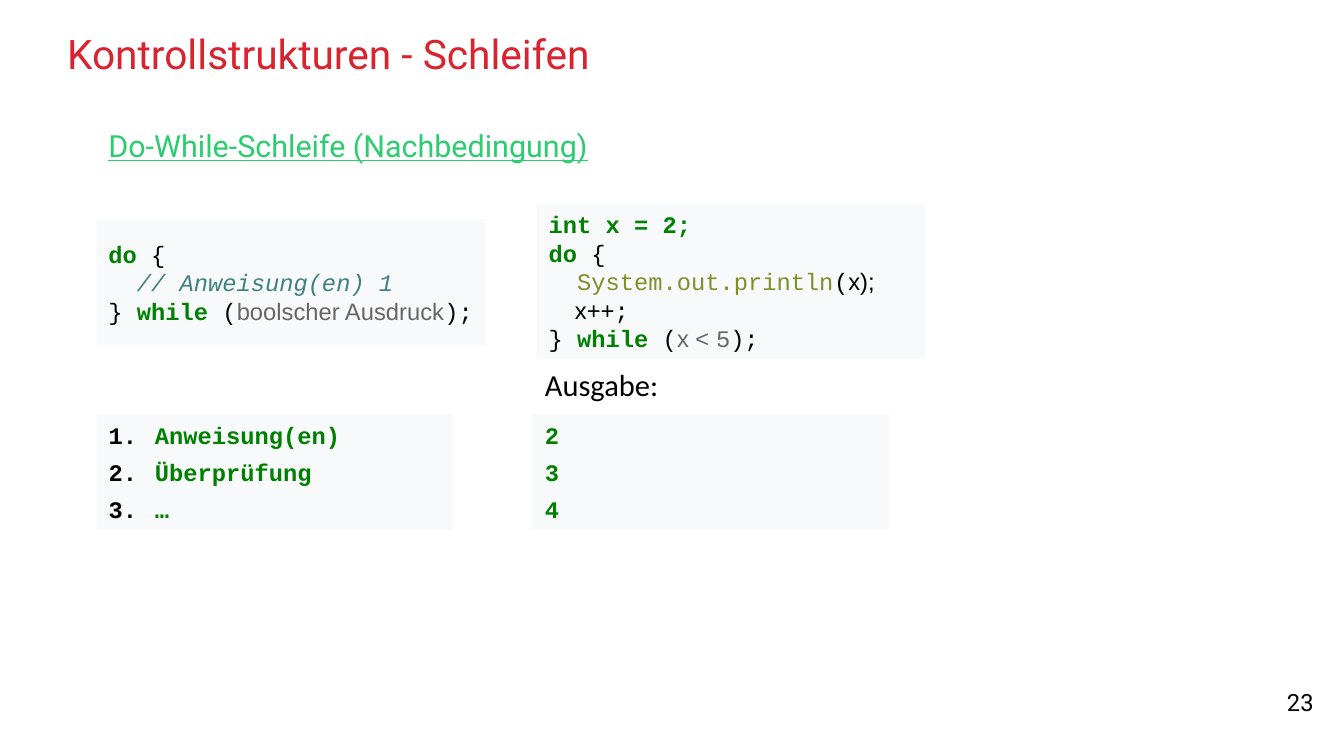
from lxml.etree import SubElement
from pptx import Presentation
from pptx.dml.color import RGBColor
from pptx.enum.shapes import MSO_SHAPE
from pptx.enum.text import MSO_ANCHOR as ANCHOR, PP_ALIGN as ALIGN
from pptx.oxml.ns import qn
from pptx.util import Inches, Pt

RED = RGBColor(0xD9, 0x23, 0x2F)
MINT = RGBColor(0x2C, 0xCC, 0x70)
BLACK = RGBColor(0, 0, 0)
PALE = RGBColor(0xF8, 0xF9, 0xFA)
GREEN = RGBColor(0, 0x80, 0)
TEAL = RGBColor(0x40, 0x80, 0x80)
GRAY = RGBColor(0x66, 0x66, 0x66)
OLIVE = RGBColor(0x7D, 0x90, 0x29)

KEYWORD = dict(color=GREEN, bold=True)
COMMENT = dict(color=TEAL, italic=True)
CALL = dict(color=OLIVE)
PLAIN = dict(font="Arial")
VALUE = dict(color=GRAY)
CONDITION = dict(font="Arial", color=GRAY)

LEFT = 0.79
OUTPUT_LEFT = 4.37
CODE_WIDTH = 3.19
STEPS_TOP, STEPS_WIDTH, STEPS_HEIGHT = 3.4, 2.92, 0.94

SYNTAX = [
    [("do", KEYWORD), (" {", {})],
    [("  ", {}), ("// Anweisung(en) 1", COMMENT)],
    [("} ", {}), ("while", KEYWORD), (" (", {}),
     ("boolscher Ausdruck", CONDITION), (");", {})],
]
EXAMPLE = [
    [("int x = 2;", KEYWORD)],
    [("do", KEYWORD), (" {", {})],
    [("  ", {}), ("System.out.println", CALL), ("(", {}), ("x);", PLAIN)],
    [("    x++", PLAIN), (";", {})],
    [("} ", {}), ("while", KEYWORD), (" (", {}),
     ("x < ", CONDITION), ("5", VALUE), (");", {})],
]
STEPS = ["Anweisung(en)", "Überprüfung", "…"]
OUTPUT = ["2", "3", "4"]


def add_run(p, text, font="Courier New", size=14, color=BLACK,
            bold=False, italic=False, underline=False):
    """Append a formatted run to a paragraph."""
    r = p.add_run()
    r.text = text
    r.font.name, r.font.size = font, Pt(size)
    r.font.color.rgb = color
    r.font.bold, r.font.italic, r.font.underline = bold, italic, underline


def place(sp, box):
    """Move a shape to a box given in inches."""
    sp.left, sp.top, sp.width, sp.height = (Inches(v) for v in box)


def number(p):
    """Give a paragraph a black automatic number and a hanging indent."""
    pPr = p._p.get_or_add_pPr()
    pPr.set("marL", str(Inches(0.38)))
    pPr.set("indent", str(-Inches(0.38)))
    color = SubElement(SubElement(pPr, qn("a:buClr")), qn("a:srgbClr"))
    color.set("val", str(BLACK))
    SubElement(pPr, qn("a:buAutoNum")).set("type", "arabicPeriod")


def fill_panel(sp, lines, gap=0, numbered=False):
    """Style a pale panel and write its lines of runs."""
    sp.fill.solid()
    sp.fill.fore_color.rgb = PALE
    sp.line.fill.background()
    tf = sp.text_frame
    tf.word_wrap = True
    tf.vertical_anchor = ANCHOR.MIDDLE
    for i, line in enumerate(lines):
        p = tf.add_paragraph() if i else tf.paragraphs[0]
        p.alignment = ALIGN.LEFT
        p.space_before = Pt(gap if i else 0)
        if numbered:
            number(p)
        for text, style in line:
            add_run(p, text, **style)


def add_panel(slide, box, lines, gap=0):
    """Add a rectangular panel holding code or output."""
    sp = slide.shapes.add_shape(MSO_SHAPE.RECTANGLE, *(Inches(v) for v in box))
    sp.shadow.inherit = False
    fill_panel(sp, lines, gap)


def add_label(slide, box, text, align=ALIGN.LEFT, anchor=ANCHOR.TOP, **style):
    """Add a one-line text box."""
    tf = slide.shapes.add_textbox(*(Inches(v) for v in box)).text_frame
    tf.word_wrap = True
    tf.vertical_anchor = anchor
    p = tf.paragraphs[0]
    p.alignment = align
    add_run(p, text, **style)


def set_title(slide, box, text):
    """Fill the title placeholder."""
    sp = slide.shapes.title
    place(sp, box)
    tf = sp.text_frame
    tf.margin_left = tf.margin_right = tf.margin_top = tf.margin_bottom = 0
    tf.vertical_anchor = ANCHOR.MIDDLE
    p = tf.paragraphs[0]
    p.alignment = ALIGN.LEFT
    add_run(p, text, font="Roboto", size=24, color=RED)


def set_steps(slide, box, steps):
    """Fill the body placeholder with the numbered steps."""
    sp = slide.placeholders[1]
    place(sp, box)
    fill_panel(sp, [[(step, KEYWORD)] for step in steps], gap=5, numbered=True)


def build_loop_slide(prs):
    """Build the slide about the do-while loop."""
    slide = prs.slides.add_slide(prs.slide_layouts[1])
    set_title(slide, (0.55, 0.25, 9.92, 0.38), "Kontrollstrukturen - Schleifen")
    add_label(slide, (LEFT, 0.99, 4.23, 0.39), "Do-While-Schleife (Nachbedingung)",
              font="Roboto", size=18, color=MINT, underline=True)
    add_panel(slide, (LEFT, 1.8, CODE_WIDTH, 1.03), SYNTAX)
    set_steps(slide, (LEFT, STEPS_TOP, STEPS_WIDTH, STEPS_HEIGHT), STEPS)
    add_panel(slide, (4.4, 1.67, CODE_WIDTH, 1.27), EXAMPLE)
    add_label(slide, (OUTPUT_LEFT, 2.95, 1.14, 0.4), "Ausgabe:",
              font="Calibri", size=18)
    add_panel(slide, (OUTPUT_LEFT, STEPS_TOP, STEPS_WIDTH, STEPS_HEIGHT),
              [[(value, KEYWORD)] for value in OUTPUT], gap=5)
    add_label(slide, (9.37, 5.61, 1.5, 0.29), "23", align=ALIGN.RIGHT,
              anchor=ANCHOR.MIDDLE, font="Roboto")


def main():
    """Create and save the presentation."""
    prs = Presentation()
    prs.slide_width, prs.slide_height = Inches(11.02), Inches(6.2)
    build_loop_slide(prs)
    prs.save("out.pptx")


if __name__ == "__main__":
    main()
